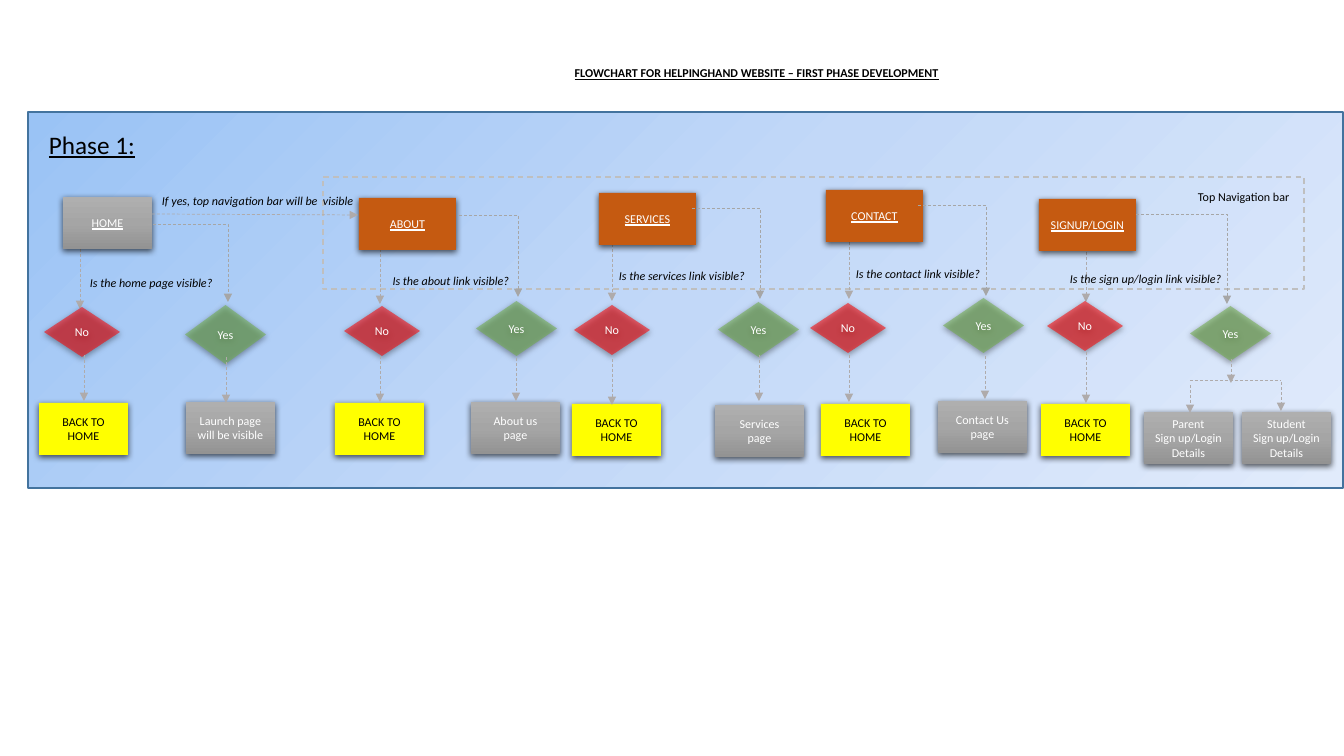
import copy
import pptx
import pptx.util
import pptx.dml.color
import pptx.enum.dml
import pptx.enum.shapes
import pptx.enum.text
import pptx.oxml
import pptx.oxml.ns
from lxml import etree

SCALE = 914400 / 100.8
THEME = {
    "font": "Calibri", "body": 8.6, "heading": 18,
    "black": "000000", "white": "FFFFFF",
    "panel": ["9AC3F5", "C2D8F8", "E1EBFB"], "panel_edge": "43739E",
    "grey": ["AFAFAF", "A5A5A5", "939393"], "orange": "C55A11",
    "yellow": "FFFF00", "red": "FF0000", "green": "70AD47",
    "nav_edge": "BFBFBF", "arrow": "AFABAB", "elbow": "A6A6A6",
}
RGB = pptx.dml.color.RGBColor.from_string
KIND = pptx.enum.shapes.MSO_SHAPE
CONNECTOR = pptx.enum.shapes.MSO_CONNECTOR
ALIGN = pptx.enum.text.PP_ALIGN
DASH = pptx.enum.dml.MSO_LINE.DASH
qn = pptx.oxml.ns.qn


def write_text(frame, text, color, align, size="body", styles=()):
    frame.word_wrap = True
    for index, line in enumerate(text.split("\n")):
        para = frame.add_paragraph() if index else frame.paragraphs[0]
        para.alignment = align
        span = para.add_run()
        span.text = line
        span.font.name = THEME["font"]
        span.font.size = pptx.util.Pt(THEME[size])
        span.font.color.rgb = RGB(THEME[color])
        for style in styles:
            setattr(span.font, style, True)


def add_link(start_x, start_y, end_x, end_y, bent=False, arrow=True):
    ends = [round(n * SCALE) for n in (start_x, start_y, end_x, end_y)]
    link = page.shapes.add_connector(CONNECTOR.ELBOW if bent else CONNECTOR.STRAIGHT, *ends)
    link.line.color.rgb = RGB(THEME["elbow" if bent else "arrow"])
    link.line.width = pptx.util.Pt(0.5)
    link.line.dash_style = DASH
    properties = link._element.spPr
    if bent:
        properties.find(qn("a:prstGeom")).set("prst", "bentConnector2")
    if arrow:
        etree.SubElement(properties.find(qn("a:ln")), qn("a:tailEnd"), type="triangle")
    etree.SubElement(properties, qn("a:effectLst"))


deck = pptx.Presentation()
deck.slide_width = round(1344 * SCALE)
deck.slide_height = round(756 * SCALE)
page = deck.slides.add_slide(deck.slide_layouts[6])

columns = [
    dict(name="HOME", at=(63, 197), stem=(80, 234, 309), no=(44, 307), yes=(185, 305),
         back=(39, 403), no_drop=(84, 355, 401), yes_drop=(226, 357, 403),
         elbow=(148, 224, 228, 302), targets=[("Launch page will be visible", 186, 402)]),
    dict(name="ABOUT", at=(359, 198), stem=(380, 244, 304), no=(344, 306), yes=(476, 301),
         back=(335, 403), no_drop=(380, 356, 402), yes_drop=(516, 358, 401),
         elbow=(459, 215, 518, 297), targets=[("About us page", 471, 402)]),
    dict(name="SERVICES", at=(599, 193), stem=(612, 234, 301), no=(574, 305), yes=(718, 302),
         back=(572, 404), no_drop=(612, 359, 405), yes_drop=(759, 355, 401),
         elbow=(692, 208, 760, 299), targets=[("Services\npage", 715, 405)]),
    dict(name="CONTACT", at=(826, 190), stem=(849, 232, 299), no=(810, 303), yes=(943, 298),
         back=(821, 404), no_drop=(849, 355, 402), yes_drop=(985, 356, 399),
         elbow=(918, 205, 986, 296), targets=[("Contact Us\npage", 938, 401)]),
    dict(name="SIGNUP/LOGIN", at=(1039, 199), stem=(1086, 247, 302), no=(1047, 301), yes=(1190, 306),
         back=(1041, 404), no_drop=(1086, 352, 403), yes_drop=(1231, 359, 383),
         elbow=(1136, 214, 1227, 304),
         targets=[("Parent\nSign up/Login Details", 1144, 412),
                  ("Student\nSign up/Login Details", 1242, 412)]),
]

nodes = [("", KIND.RECTANGLE, (28, 112), (1315, 376), "panel", None),
         ("", KIND.RECTANGLE, (323, 177), (981, 112), None, None)]
for column in columns:
    home = column["name"] == "HOME"
    nodes += [
        (column["name"], KIND.RECTANGLE, column["at"], (89 if home else 97, 52),
         "grey" if home else "orange", "white"),
        ("No", KIND.FLOWCHART_DECISION, column["no"], (76, 50), "red", "white"),
        ("Yes", KIND.FLOWCHART_DECISION, column["yes"], (81, 59 if home else 55), "green", "white"),
        ("BACK TO HOME", KIND.RECTANGLE, column["back"], (89, 52), "yellow", "black"),
    ]
    for label, left, top in column["targets"]:
        nodes.append((label, KIND.RECTANGLE, (left, top), (89, 52), "grey", "white"))

page_names = [column["name"] for column in columns]
for index, (label, kind, corner, size, fill, color) in enumerate(nodes):
    if index == 2:
        for column in columns:
            x, top, bottom = column["stem"]
            add_link(x, top, x, bottom)
    box = page.shapes.add_shape(kind, *[round(n * SCALE) for n in corner + size])
    box.shadow.inherit = False
    if fill is None:
        box.fill.background()
    elif fill in ("panel", "grey"):
        box.fill.gradient()
        box.fill.gradient_angle = 315 if fill == "panel" else 270
        stops = box._element.spPr.find(qn("a:gradFill")).find(qn("a:gsLst"))
        stops.insert(1, copy.deepcopy(stops[0]))
        for stop, shade, position in zip(box.fill.gradient_stops, THEME[fill], (0, 0.5, 1)):
            stop.color.rgb = RGB(shade)
            stop.position = position
    else:
        box.fill.solid()
        box.fill.fore_color.rgb = RGB(THEME[fill])
    if not label:
        box.line.color.rgb = RGB(THEME["panel_edge" if fill else "nav_edge"])
        box.line.width = pptx.util.Pt(1)
        if fill is None:
            box.line.dash_style = DASH
        continue
    box.line.fill.background()
    if kind == KIND.FLOWCHART_DECISION:
        tint = box._element.spPr.find(qn("a:solidFill"))[0]
        etree.SubElement(tint, qn("a:alpha"), val="55000")
    shadow = etree.SubElement(box._element.spPr.find(qn("a:effectLst")), qn("a:outerShdw"),
                              blurRad="57150", dist="19050", dir="5400000", rotWithShape="0")
    shade = etree.SubElement(shadow, qn("a:srgbClr"), val=THEME["black"])
    etree.SubElement(shade, qn("a:alpha"), val="63000")
    box.text_frame.vertical_anchor = pptx.enum.text.MSO_ANCHOR.MIDDLE
    write_text(box.text_frame, label, color, ALIGN.CENTER,
               styles=["underline"] if label in page_names else [])

for column in columns:
    for x, top, bottom in (column["no_drop"], column["yes_drop"]):
        add_link(x, top, x, bottom)
    add_link(*column["elbow"], bent=True)
add_link(152, 214, 358, 215)
add_link(1190, 380, 1281, 380, arrow=False)
add_link(1190, 385, 1190, 413)
add_link(1281, 382, 1281, 411)

notes = [
    ("FLOWCHART FOR HELPINGHAND WEBSITE – FIRST PHASE DEVELOPMENT",
     (562, 61, 390, 25), ALIGN.CENTER, "body", ["bold", "underline"]),
    ("Phase 1:", (39, 124, 151, 40), ALIGN.LEFT, "heading", ["underline"]),
    ("Top Navigation bar", (1188, 185, 119, 25), ALIGN.LEFT, "body", []),
    ("If yes, top navigation bar will be  visible", (152, 189, 223, 25), ALIGN.LEFT, "body", ["italic"]),
    ("Is the home page visible?", (80, 271, 150, 25), ALIGN.LEFT, "body", ["italic"]),
    ("Is the about link visible?", (357, 269, 188, 25), ALIGN.CENTER, "body", ["italic"]),
    ("Is the services link visible?", (609, 264, 156, 25), ALIGN.LEFT, "body", ["italic"]),
    ("Is the contact link visible?", (846, 262, 156, 25), ALIGN.LEFT, "body", ["italic"]),
    ("Is the sign up/login link visible?", (1060, 267, 176, 25), ALIGN.LEFT, "body", ["italic"]),
]
for text, place, align, size, styles in notes:
    box = page.shapes.add_textbox(*[round(n * SCALE) for n in place])
    write_text(box.text_frame, text, "black", align, size, styles)

deck.save("out.pptx")
